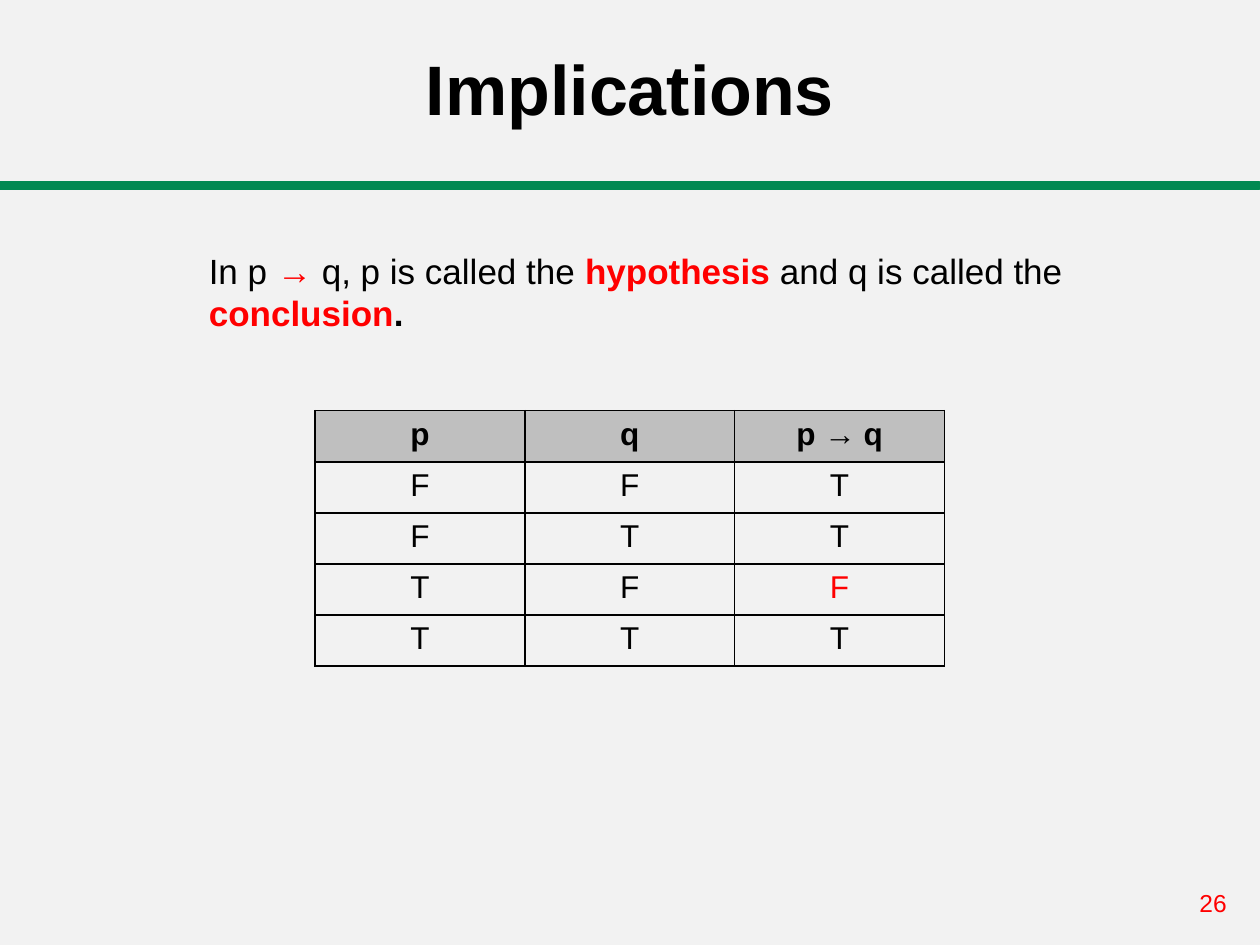
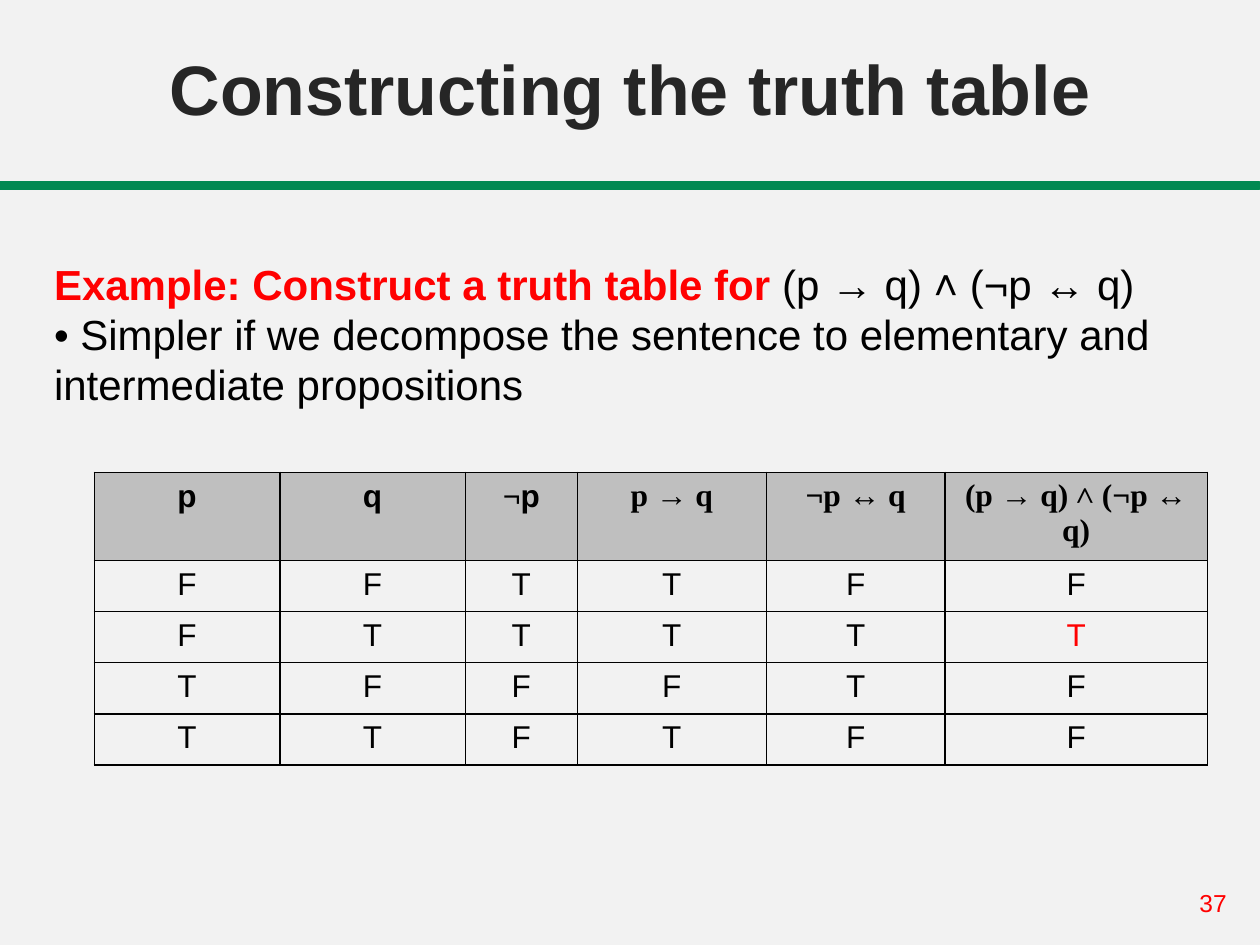
import pptx
import pptx.dml.color
import pptx.enum.shapes
import pptx.enum.text
import pptx.oxml
import pptx.oxml.ns
import pptx.util

Cm = pptx.util.Cm
Pt = pptx.util.Pt
RGBColor = pptx.dml.color.RGBColor
PP_ALIGN = pptx.enum.text.PP_ALIGN

BACKGROUND = RGBColor(0xF2, 0xF2, 0xF2)
GREEN = RGBColor(0x01, 0x89, 0x52)
RED = RGBColor(0xFF, 0x00, 0x00)
BLACK = RGBColor(0x00, 0x00, 0x00)
CHARCOAL = RGBColor(0x26, 0x26, 0x26)
HEADER_GRAY = RGBColor(0xBF, 0xBF, 0xBF)

SANS = "Arial"
SERIF = "Times New Roman"

SLIDE_W, SLIDE_H = Cm(25.4), Cm(19.05)
TITLE_BOX = (0, 0, SLIDE_W, Cm(2.74))
BAR_BOX = (0, Cm(3.68), SLIDE_W, Cm(0.13))
NUMBER_BOX = (Cm(23.93), Cm(17.78), Cm(1.47), Cm(0.86))
ROW_H = Cm(1.03)


def add_runs(p, runs, size):
    for text, color, bold, font in runs:
        r = p.add_run()
        r.text = text
        r.font.size = Pt(size)
        r.font.name = font
        r.font.bold = bold
        r.font.color.rgb = color


def add_text(slide, box, paragraphs, size):
    tf = slide.shapes.add_textbox(*box).text_frame
    tf.word_wrap = True
    for i, runs in enumerate(paragraphs):
        p = tf.add_paragraph() if i else tf.paragraphs[0]
        add_runs(p, runs, size)


def add_bar(slide, box):
    sp = slide.shapes.add_shape(pptx.enum.shapes.MSO_SHAPE.RECTANGLE, *box)
    sp.shadow.inherit = False
    sp.fill.solid()
    sp.fill.fore_color.rgb = GREEN
    sp.line.color.rgb = GREEN
    sp.line.width = Pt(1.75)


def add_title(slide, box, text, color):
    sp = slide.shapes.title
    sp.left, sp.top, sp.width, sp.height = box
    tf = sp.text_frame
    tf.auto_size = pptx.enum.text.MSO_AUTO_SIZE.NONE
    tf.vertical_anchor = pptx.enum.text.MSO_ANCHOR.BOTTOM
    p = tf.paragraphs[0]
    p.alignment = PP_ALIGN.CENTER
    add_runs(p, [(text, color, True, SANS)], 40)


def add_base_slide(prs, title, title_color, number):
    slide = prs.slides.add_slide(prs.slide_layouts.get_by_name("Title Only"))
    slide.background.fill.solid()
    slide.background.fill.fore_color.rgb = BACKGROUND
    add_bar(slide, BAR_BOX)
    add_text(slide, NUMBER_BOX, [[(number, RED, False, SANS)]], 14)
    add_title(slide, TITLE_BOX, title, title_color)
    return slide


def set_borders(cell):
    tcPr = cell._tc.get_or_add_tcPr()
    for side in ("lnL", "lnR", "lnT", "lnB"):
        tcPr.append(pptx.oxml.parse_xml(
            f'<a:{side} {pptx.oxml.ns.nsdecls("a")} w="{Pt(1)}"><a:solidFill>'
            f'<a:srgbClr val="{BLACK}"/></a:solidFill></a:{side}>'))


def fill_cell(cell, runs, is_header):
    p = cell.text_frame.paragraphs[0]
    p.alignment = PP_ALIGN.CENTER
    add_runs(p, runs, 18)
    set_borders(cell)
    if is_header:
        cell.fill.solid()
        cell.fill.fore_color.rgb = HEADER_GRAY
    else:
        cell.fill.background()


def add_truth_table(slide, left, top, widths, header_h, headers, rows, red_cell):
    height = header_h + ROW_H * len(rows)
    table = slide.shapes.add_table(
        len(rows) + 1, len(widths), left, top, sum(widths), height).table
    table.horz_banding = False
    for column, width in zip(table.columns, widths):
        column.width = width
    for i, row in enumerate(table.rows):
        row.height = ROW_H if i else header_h
    for c, parts in enumerate(headers):
        runs = [(text, BLACK, True, font) for text, font in parts]
        fill_cell(table.cell(0, c), runs, True)
    for r, values in enumerate(rows, start=1):
        for c, value in enumerate(values):
            color = RED if (r, c) == red_cell else BLACK
            fill_cell(table.cell(r, c), [(value, color, False, SANS)], False)


def build_implications(prs):
    slide = add_base_slide(prs, "Implications", BLACK, "26")
    headers = [
        [("p", SANS)],
        [("q", SANS)],
        [("p ", SANS), ("→ ", SERIF), ("q", SANS)],
    ]
    add_truth_table(slide, Cm(6.35), Cm(8.28), [Cm(4.23)] * 3, ROW_H,
                    headers, ["FFT", "FTT", "TFF", "TTT"], (3, 2))
    add_text(slide, (Cm(3.96), Cm(4.9), Cm(20.4), Cm(1.96)), [
        [("In p ", BLACK, False, SANS),
         ("→", RED, True, SANS),
         (" q, p is called the ", BLACK, False, SANS),
         ("hypothesis ", RED, True, SANS),
         ("and q is called the", BLACK, False, SANS)],
        [("conclusion", RED, True, SANS),
         (".", BLACK, True, SANS)],
    ], 20)


def build_constructing(prs):
    slide = add_base_slide(prs, "Constructing the truth table", CHARCOAL, "37")
    formula = "(p → q) ˄ (¬p ↔ q)"
    add_text(slide, (Cm(0.84), Cm(5.08), Cm(23.7), Cm(3.33)), [
        [("Example: Construct a truth table for ", RED, True, SANS),
         (formula, BLACK, False, SANS)],
        [("• Simpler if we decompose the sentence to elementary and",
          BLACK, False, SANS)],
        [("intermediate propositions", BLACK, False, SANS)],
    ], 24)
    headers = [
        [("p", SANS)],
        [("q", SANS)],
        [("¬", SERIF), ("p", SANS)],
        [("p → q", SERIF)],
        [("¬p ↔ q", SERIF)],
        [(formula, SERIF)],
    ]
    widths = [Cm(w) for w in (3.74, 3.74, 2.26, 3.81, 3.6, 5.29)]
    add_truth_table(slide, Cm(1.9), Cm(9.52), widths, Cm(1.78), headers,
                    ["FFTTFF", "FTTTTT", "TFFFTF", "TTFTFF"], (2, 5))


def main():
    prs = pptx.Presentation()
    prs.slide_width, prs.slide_height = SLIDE_W, SLIDE_H
    build_implications(prs)
    build_constructing(prs)
    prs.save("out.pptx")


if __name__ == "__main__":
    main()
